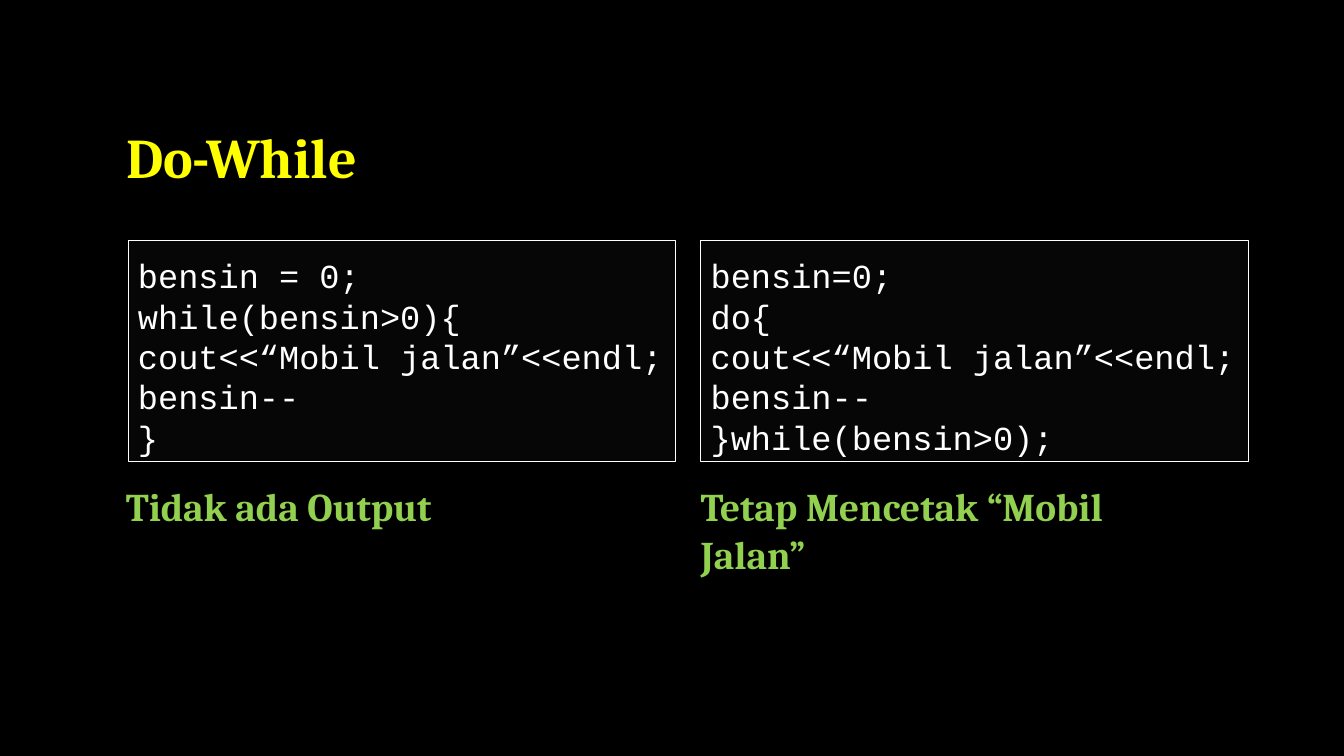
from dataclasses import dataclass

from lxml import etree
from pptx import Presentation
from pptx import util as u
from pptx.dml.color import RGBColor
from pptx.enum import shapes, text
from pptx.oxml import ns

TITLE = "Do-While"
# code lines, resulting output, caption height
EXAMPLES = [
    (["bensin = 0;", "while(bensin>0){", "cout<<“Mobil jalan”<<endl;",
      "bensin--", "}"], "Tidak ada Output", 0.57),
    (["bensin=0;", "do{", "cout<<“Mobil jalan”<<endl;",
      "bensin--", "}while(bensin>0);"], "Tetap Mencetak “Mobil Jalan”", 1.04),
]


@dataclass(frozen=True)
class Theme:
    background: str = "000000"
    title: str = "FFFF00"
    code: str = "FFFFFF"
    panel: str = "0D0D0D"
    panel_alpha: int = 50
    caption: str = "92D050"
    heading_font: str = "Cambria"
    code_font: str = "Courier New"
    title_size: int = 40
    code_size: int = 24
    caption_size: int = 28


THEME = Theme()
SLIDE_W, SLIDE_H = 13.33, 7.5
TITLE_BOX = (1.15, 0.8, 10, 1.14)
CODE_LEFT, CODE_TOP, CODE_W, CODE_H = 1.27, 2.39, 5.43, 2.19
CODE_STEP = CODE_W + 0.25
CAPTION_LEFT, CAPTION_TOP, CAPTION_W = 1.15, 4.74, 4.9
CAPTION_STEP = 5.7


def inches(*lengths):
    return [u.Inches(length) for length in lengths]


def rgb(color):
    return RGBColor.from_string(color)


def write(tf, lines, font, size, color, bold=False):
    for i, line in enumerate(lines):
        p = tf.add_paragraph() if i else tf.paragraphs[0]
        p.alignment = text.PP_ALIGN.LEFT
        r = p.add_run()
        r.text = line
        r.font.name = font
        r.font.size = u.Pt(size)
        r.font.bold = bold
        r.font.color.rgb = rgb(color)


def add_title(s):
    title = s.shapes.title
    title.left, title.top, title.width, title.height = inches(*TITLE_BOX)
    tf = title.text_frame
    tf.vertical_anchor = text.MSO_ANCHOR.BOTTOM
    write(tf, [TITLE], THEME.heading_font, THEME.title_size, THEME.title, True)
    tf.paragraphs[0].line_spacing = 0.9


def add_code(s, column, lines):
    sp = s.shapes.add_shape(
        shapes.MSO_SHAPE.RECTANGLE,
        *inches(CODE_LEFT + column * CODE_STEP, CODE_TOP, CODE_W, CODE_H))
    sp.shadow.inherit = False
    sp.fill.solid()
    sp.fill.fore_color.rgb = rgb(THEME.panel)
    fill = sp.fill._xPr.find(ns.qn("a:solidFill"))
    etree.SubElement(fill[0], ns.qn("a:alpha"), val=str(THEME.panel_alpha * 1000))
    sp.line.color.rgb = rgb(THEME.code)
    sp.line.width = u.Pt(0.75)
    tf = sp.text_frame
    tf.word_wrap = True
    tf.vertical_anchor = text.MSO_ANCHOR.BOTTOM
    write(tf, lines, THEME.code_font, THEME.code_size, THEME.code)


def add_caption(s, column, caption, height):
    box = s.shapes.add_textbox(
        *inches(CAPTION_LEFT + column * CAPTION_STEP, CAPTION_TOP, CAPTION_W, height))
    tf = box.text_frame
    tf.word_wrap = True
    tf.auto_size = text.MSO_AUTO_SIZE.SHAPE_TO_FIT_TEXT
    write(tf, [caption], THEME.heading_font, THEME.caption_size, THEME.caption, True)


def main():
    prs = Presentation()
    prs.slide_width, prs.slide_height = inches(SLIDE_W, SLIDE_H)
    s = prs.slides.add_slide(prs.slide_layouts.get_by_name("Title Only"))
    s.background.fill.solid()
    s.background.fill.fore_color.rgb = rgb(THEME.background)
    add_title(s)
    for column, (lines, caption, height) in enumerate(EXAMPLES):
        add_code(s, column, lines)
        add_caption(s, column, caption, height)
    prs.save("out.pptx")


if __name__ == "__main__":
    main()
